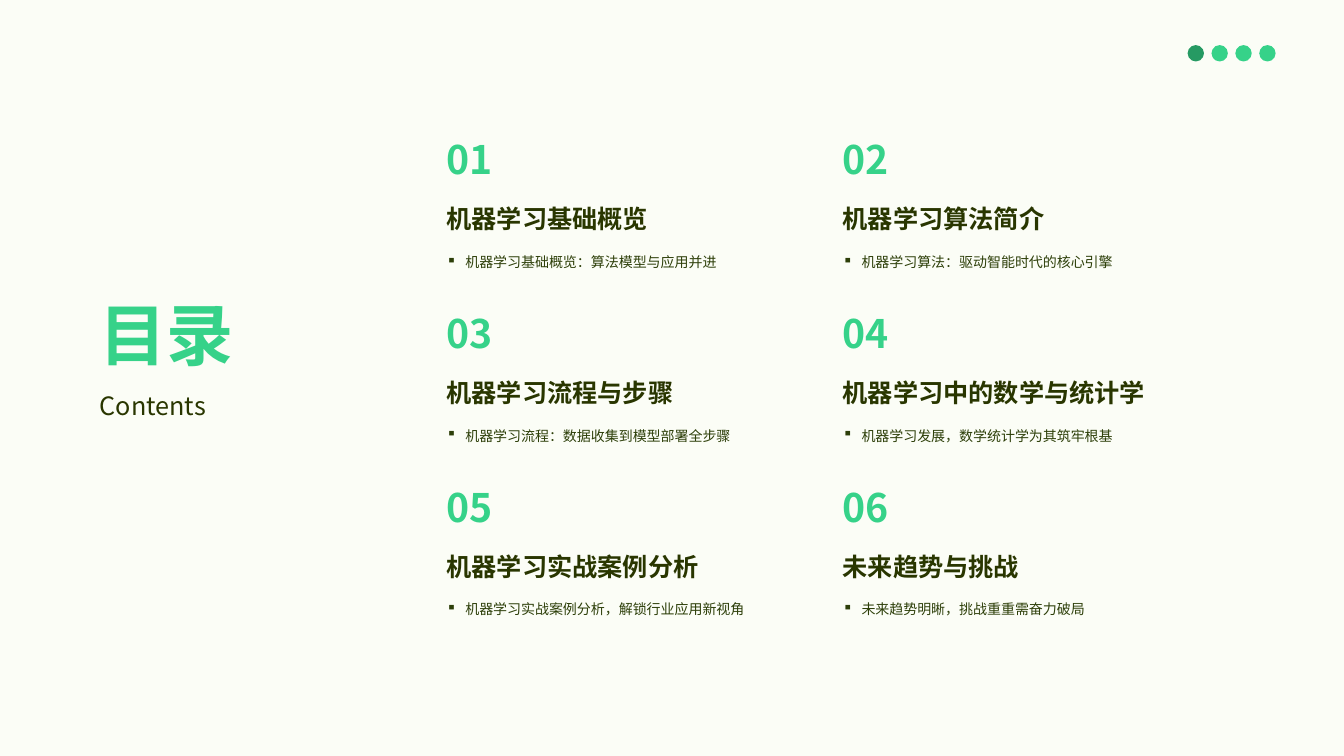
from dataclasses import dataclass

from lxml.etree import SubElement
from pptx import Presentation
from pptx.dml.color import RGBColor
from pptx.enum.shapes import MSO_SHAPE
from pptx.enum.text import MSO_ANCHOR, MSO_AUTO_SIZE, PP_ALIGN
from pptx.oxml.ns import qn
from pptx.util import Pt

# Content
HEADING = "目录"
SUBHEADING = "Contents"
CHAPTERS = [
    ("机器学习基础概览", "机器学习基础概览：算法模型与应用并进"),
    ("机器学习算法简介", "机器学习算法：驱动智能时代的核心引擎"),
    ("机器学习流程与步骤", "机器学习流程：数据收集到模型部署全步骤"),
    ("机器学习中的数学与统计学", "机器学习发展，数学统计学为其筑牢根基"),
    ("机器学习实战案例分析", "机器学习实战案例分析，解锁行业应用新视角"),
    ("未来趋势与挑战", "未来趋势明晰，挑战重重需奋力破局"),
]


@dataclass(frozen=True)
class Theme:
    font: str = "Noto Sans CJK SC"
    paper: str = "FBFDF6"
    green: str = "36D289"
    deep_green: str = "269A63"
    ink: str = "293600"
    olive: str = "2D3F09"
    heading_size: int = 48
    number_size: int = 28
    title_size: int = 18
    summary_size: int = 10
    line_spacing: float = 0.9


THEME = Theme()

# Layout in points
COLUMNS = 2
GRID_LEFT, GRID_TOP = 311.8, 97.2
COLUMN_STEP, ROW_STEP = 283, 124.25
TITLE_DROP, SUMMARY_DROP = 46.8, 81.4
CHAPTER_WIDTH = 251.3
BULLET_INDENT = 13.5
DOT_COUNT, DOT_SIZE, DOT_STEP = 4, 11.7, 17.05
DOT_LEFT, DOT_TOP = 848.3, 32.2


def write_text(text, *, box, size, color, bold=False, bullet=None, holder=None):
    """Write one paragraph in a placeholder, or in a new text box."""
    left, top, width, height = (Pt(value) for value in box)
    if holder is None:
        holder = slide.shapes.add_textbox(left, top, width, height)
    else:
        holder.left, holder.top, holder.width, holder.height = left, top, width, height
    frame = holder.text_frame
    frame.word_wrap = True
    frame.auto_size = MSO_AUTO_SIZE.NONE
    frame.vertical_anchor = MSO_ANCHOR.TOP

    paragraph = frame.paragraphs[0]
    paragraph.alignment = PP_ALIGN.LEFT
    paragraph.line_spacing = THEME.line_spacing
    paragraph.space_before = Pt(0)
    if bullet:
        properties = paragraph._p.get_or_add_pPr()
        properties.set("marL", str(Pt(BULLET_INDENT)))
        properties.set("indent", str(-Pt(BULLET_INDENT)))
        SubElement(properties, qn("a:buChar"), char=bullet)

    run = paragraph.add_run()
    run.text = text
    run.font.size = Pt(size)
    run.font.bold = bold
    run.font.color.rgb = RGBColor.from_string(color)
    run.font.name = THEME.font
    SubElement(run._r.get_or_add_rPr(), qn("a:ea"), typeface=THEME.font)


presentation = Presentation()
presentation.slide_width, presentation.slide_height = Pt(960), Pt(540)
slide = presentation.slides.add_slide(presentation.slide_layouts[0])
slide.background.fill.solid()
slide.background.fill.fore_color.rgb = RGBColor.from_string(THEME.paper)

# Heading and subheading
write_text(HEADING, holder=slide.shapes.title, box=(64.1, 212.4, 121, 65.5),
           size=THEME.heading_size, color=THEME.green, bold=True)
write_text(SUBHEADING, holder=slide.placeholders[1], box=(64.1, 277.9, 121, 28.8),
           size=THEME.title_size, color=THEME.ink)

# Chapters, numbered row by row
for index, (title, summary) in enumerate(CHAPTERS):
    row, column = divmod(index, COLUMNS)
    left = GRID_LEFT + column * COLUMN_STEP
    top = GRID_TOP + row * ROW_STEP
    write_text(f"{index + 1:02}", box=(left, top, 139.7, 46.8),
               size=THEME.number_size, color=THEME.green, bold=True)
    write_text(title, box=(left, top + TITLE_DROP, CHAPTER_WIDTH, 29.5),
               size=THEME.title_size, color=THEME.ink, bold=True)
    write_text(summary, box=(left, top + SUMMARY_DROP, CHAPTER_WIDTH, 33.8),
               size=THEME.summary_size, color=THEME.olive, bullet="▪")

# Row of dots, the first one darker
for index in range(DOT_COUNT):
    dot = slide.shapes.add_shape(
        MSO_SHAPE.OVAL, Pt(DOT_LEFT + index * DOT_STEP), Pt(DOT_TOP),
        Pt(DOT_SIZE), Pt(DOT_SIZE))
    dot.shadow.inherit = False
    dot.line.fill.background()
    dot.fill.solid()
    dot.fill.fore_color.rgb = RGBColor.from_string(
        THEME.green if index else THEME.deep_green)

presentation.save("out.pptx")
